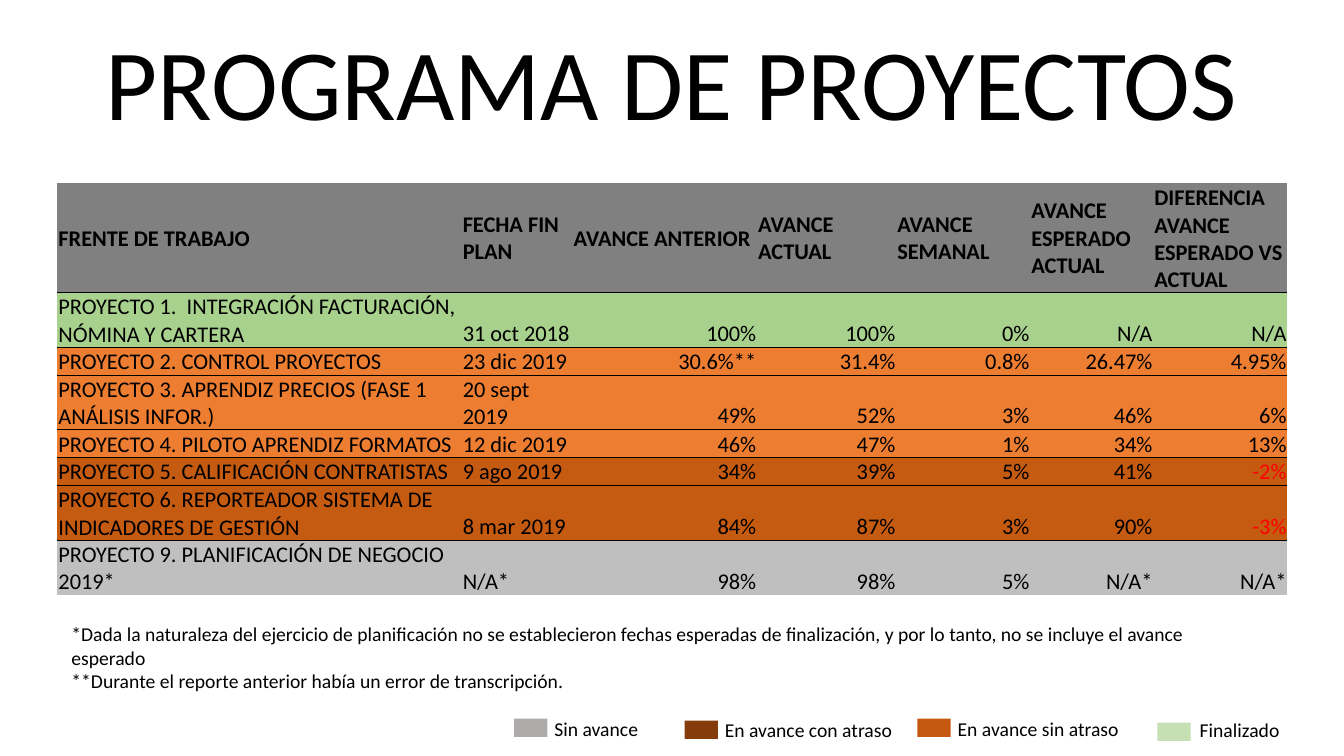
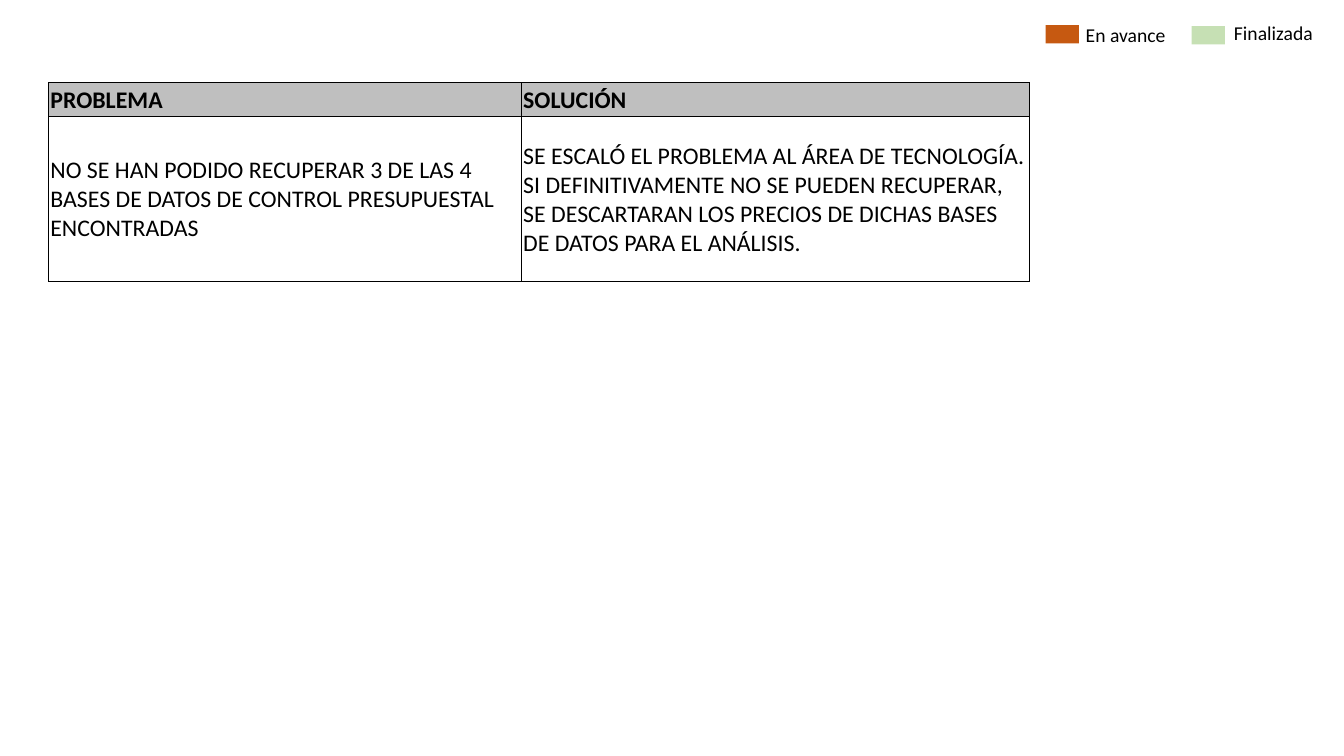
"""Build the two project status slides: programme table and problem table."""
from lxml import etree
from pptx import Presentation
from pptx.dml.color import RGBColor
from pptx.enum.shapes import MSO_SHAPE
from pptx.enum.text import MSO_ANCHOR, PP_ALIGN
from pptx.oxml.ns import qn
from pptx.util import Inches, Pt

FONT = "Calibri"
BLACK = RGBColor(0x00, 0x00, 0x00)
WHITE = RGBColor(0xFF, 0xFF, 0xFF)
RED = RGBColor(0xFF, 0x00, 0x00)
DARK_GRAY = RGBColor(0x80, 0x80, 0x80)
GRAY = RGBColor(0xBF, 0xBF, 0xBF)
GREEN = RGBColor(0xA9, 0xD1, 0x8E)
ORANGE = RGBColor(0xED, 0x7D, 0x31)
RUST = RGBColor(0xC5, 0x5A, 0x11)
KEY_GRAY = RGBColor(0xAF, 0xAB, 0xAB)
KEY_BROWN = RGBColor(0x84, 0x3C, 0x0B)
KEY_RUST = RGBColor(0xC6, 0x59, 0x11)
KEY_GREEN = RGBColor(0xC6, 0xE0, 0xB4)

TITLE = "PROGRAMA DE PROYECTOS"
PROJECTS = [
    ("FRENTE DE TRABAJO", "FECHA FIN PLAN", "AVANCE ANTERIOR", "AVANCE ACTUAL",
     "AVANCE SEMANAL", "AVANCE ESPERADO ACTUAL", "DIFERENCIA AVANCE ESPERADO VS ACTUAL"),
    ("PROYECTO 1.  INTEGRACIÓN FACTURACIÓN, NÓMINA Y CARTERA", "31 oct 2018",
     "100%", "100%", "0%", "N/A", "N/A"),
    ("PROYECTO 2. CONTROL PROYECTOS", "23 dic 2019",
     "30.6%**", "31.4%", "0.8%", "26.47%", "4.95%"),
    ("PROYECTO 3. APRENDIZ PRECIOS (FASE 1 ANÁLISIS INFOR.)", "20 sept 2019",
     "49%", "52%", "3%", "46%", "6%"),
    ("PROYECTO 4. PILOTO APRENDIZ FORMATOS", "12 dic 2019",
     "46%", "47%", "1%", "34%", "13%"),
    ("PROYECTO 5. CALIFICACIÓN CONTRATISTAS", "9 ago 2019",
     "34%", "39%", "5%", "41%", "-2%"),
    ("PROYECTO 6. REPORTEADOR SISTEMA DE INDICADORES DE GESTIÓN", "8 mar 2019",
     "84%", "87%", "3%", "90%", "-3%"),
    ("PROYECTO 9. PLANIFICACIÓN DE NEGOCIO 2019*", "N/A*",
     "98%", "98%", "5%", "N/A*", "N/A*"),
]
PROJECT_FILLS = [DARK_GRAY, GREEN, ORANGE, ORANGE, ORANGE, RUST, RUST, GRAY]
PROJECT_COLUMNS = [4.01, 1.1, 1.83, 1.38, 1.33, 1.22, 1.33]
PROJECT_ROWS = [1.08, 0.54, 0.27, 0.54, 0.27, 0.27, 0.54, 0.54]
NOTES = [
    "*Dada la naturaleza del ejercicio de planificación no se establecieron fechas "
    "esperadas de finalización, y por lo tanto, no se incluye el avance esperado",
    "**Durante el reporte anterior había un error de transcripción.",
]
PROBLEMS = [
    ("PROBLEMA", "SOLUCIÓN"),
    ("NO SE HAN PODIDO RECUPERAR 3 DE LAS 4 BASES DE DATOS DE CONTROL PRESUPUESTAL "
     "ENCONTRADAS",
     "SE ESCALÓ EL PROBLEMA AL ÁREA DE TECNOLOGÍA. SI DEFINITIVAMENTE NO SE PUEDEN "
     "RECUPERAR, SE DESCARTARAN LOS PRECIOS DE DICHAS BASES DE DATOS PARA EL ANÁLISIS."),
]
PROJECT_KEY = [
    ("Sin avance", KEY_GRAY, (5.1, 7.13), (5.4, 7.06, 1.93)),
    ("En avance con atraso", KEY_BROWN, (6.79, 7.15), (7.09, 7.07, 1.93)),
    ("En avance sin atraso", KEY_RUST, (9.1, 7.13), (9.4, 7.06, 1.93)),
    ("Finalizado", KEY_GREEN, (11.48, 7.17), (11.8, 7.07, 1.02)),
]
PROBLEM_KEY = [
    ("En avance", KEY_RUST, (10.37, 0.25), (10.67, 0.18, 1.02)),
    ("Finalizada", KEY_GREEN, (11.82, 0.26), (12.14, 0.16, 1.02)),
]


def write(frame, lines, size, color=BLACK, bold=False, align=PP_ALIGN.LEFT):
    frame.word_wrap = True
    for index, line in enumerate(lines):
        paragraph = frame.add_paragraph() if index else frame.paragraphs[0]
        paragraph.alignment = align
        run = paragraph.add_run()
        run.text = line
        run.font.name, run.font.size = FONT, Pt(size)
        run.font.bold, run.font.color.rgb = bold, color


def add_text(slide, box, lines, size, align=PP_ALIGN.LEFT):
    frame = slide.shapes.add_textbox(*map(Inches, box)).text_frame
    write(frame, lines, size, align=align)


def add_key(slide, entries):
    for label, color, swatch_at, label_at in entries:
        swatch = slide.shapes.add_shape(
            MSO_SHAPE.RECTANGLE, *map(Inches, (*swatch_at, 0.33, 0.18)))
        swatch.shadow.inherit = False
        swatch.fill.solid()
        swatch.fill.fore_color.rgb = color
        swatch.line.fill.background()
        add_text(slide, (*label_at, 0.34), [label], 14)


def set_borders(cell, drawn):
    properties = cell._tc.get_or_add_tcPr()
    for position, side in enumerate("LRTB"):
        line = etree.Element(qn(f"a:ln{side}"), w=str(Pt(0.5)))
        if side in drawn:
            fill = etree.SubElement(line, qn("a:solidFill"))
            etree.SubElement(fill, qn("a:srgbClr"), val=str(BLACK))
        else:
            etree.SubElement(line, qn("a:noFill"))
        properties.insert(position, line)


def add_grid(slide, left, top, columns, heights, rows, fills, size, inset, body_anchor, borders):
    box = map(Inches, (left, top, sum(columns), sum(heights)))
    table = slide.shapes.add_table(len(rows), len(columns), *box).table
    table.first_row = table.horz_banding = False
    for column, width in zip(table.columns, columns):
        column.width = Inches(width)
    for r, (texts, fill) in enumerate(zip(rows, fills)):
        table.rows[r].height = Inches(heights[r])
        for c, text in enumerate(texts):
            cell = table.cell(r, c)
            cell.fill.solid()
            cell.fill.fore_color.rgb = fill
            cell.margin_left = cell.margin_right = cell.margin_top = Inches(inset)
            cell.margin_bottom = 0
            cell.vertical_anchor = body_anchor if r else MSO_ANCHOR.MIDDLE
            write(cell.text_frame, [text], size,
                  color=RED if text.startswith("-") else BLACK, bold=r == 0,
                  align=PP_ALIGN.RIGHT if r and c > 1 else PP_ALIGN.LEFT)
            set_borders(cell, borders(r))


def inner_rules(row):
    return ("T" if row else "") + ("B" if row < len(PROJECTS) - 1 else "")


prs = Presentation()
prs.slide_width, prs.slide_height = Inches(13.33), Inches(7.5)
blank = prs.slide_layouts[6]

programme = prs.slides.add_slide(blank)
add_text(programme, (0.61, 0.15, 12.1, 1.31), [TITLE], 72, PP_ALIGN.CENTER)
add_grid(programme, 0.57, 1.82, PROJECT_COLUMNS, PROJECT_ROWS, PROJECTS, PROJECT_FILLS,
         16, 0.01, MSO_ANCHOR.BOTTOM, inner_rules)
add_key(programme, PROJECT_KEY)
add_text(programme, (0.61, 6.12, 12, 0.81), NOTES, 14)

problems = prs.slides.add_slide(blank)
add_key(problems, PROBLEM_KEY)
add_grid(problems, 0.48, 0.82, [4.69, 5.04], [0.33, 1.64], PROBLEMS, [GRAY, WHITE],
         17, 0.02, MSO_ANCHOR.MIDDLE, lambda row: "LRTB")

prs.save("out.pptx")
